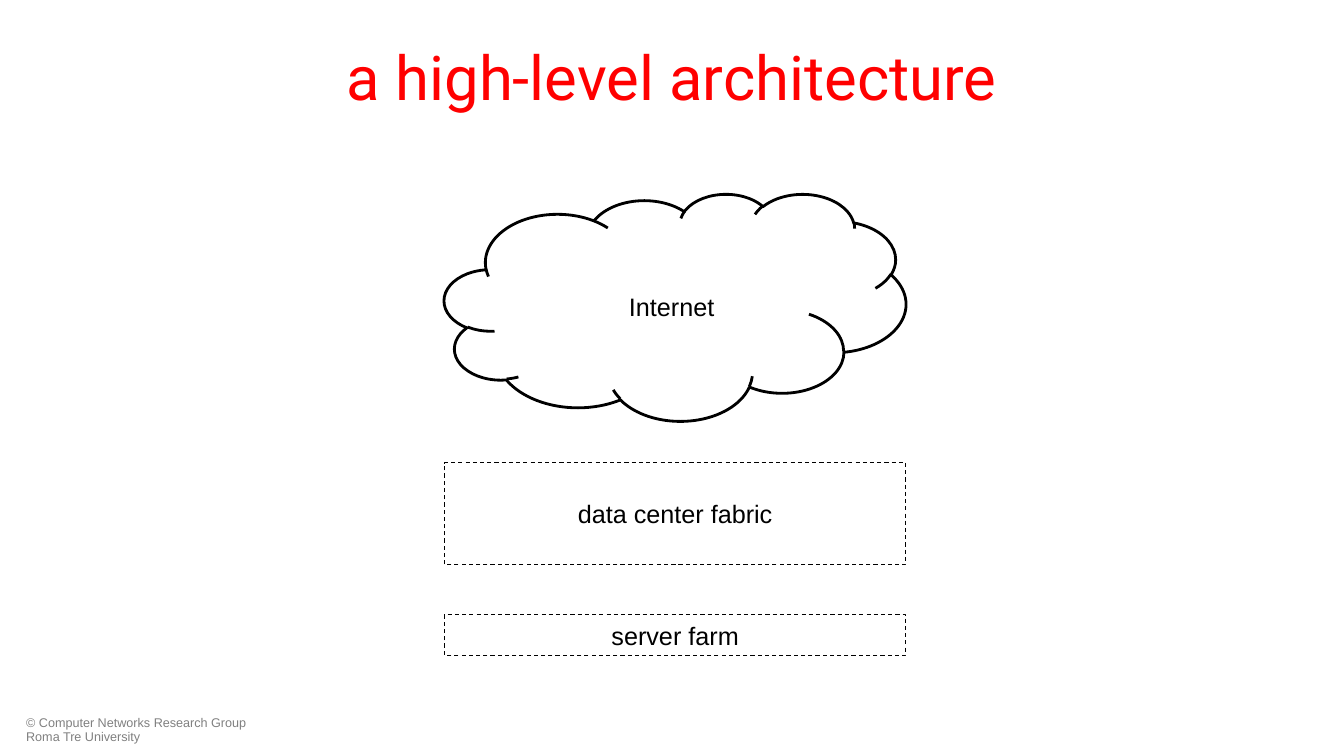
import pptx
import pptx.dml.color
import pptx.enum.dml
import pptx.enum.shapes
import pptx.enum.text
import pptx.util

Cm = pptx.util.Cm
Pt = pptx.util.Pt
Shapes = pptx.enum.shapes.MSO_SHAPE
Align = pptx.enum.text.PP_ALIGN
Anchor = pptx.enum.text.MSO_ANCHOR
Dash = pptx.enum.dml.MSO_LINE

COLORS = {"title": "FF0000", "ink": "000000", "credit": "808080"}
STACK_LEFT, STACK_WIDTH = 11.2, 11.63


class Slide:
    font = "Arial"
    size = 18

    def __init__(self, deck):
        self.page = deck.slides.add_slide(deck.slide_layouts[5])

    def color(self, name):
        return pptx.dml.color.RGBColor.from_string(COLORS[name])

    def add_text(self, box, text, align, anchor, size=None, color="ink", font=None, spacing=1.0, wrap=True):
        frame = box.text_frame
        frame.word_wrap = wrap
        frame.auto_size = pptx.enum.text.MSO_AUTO_SIZE.NONE
        frame.vertical_anchor = anchor
        para = frame.paragraphs[0]
        para.alignment = align
        para.line_spacing = spacing
        span = para.add_run()
        span.text = text
        span.font.name = font or self.font
        span.font.size = Pt(size or self.size)
        span.font.color.rgb = self.color(color)

    def title(self, text, left, top, width, height):
        box = self.page.shapes.title
        box.left, box.top, box.width, box.height = map(Cm, (left, top, width, height))
        self.add_text(box, text, Align.CENTER, Anchor.MIDDLE, 44, "title", "Roboto")

    def label(self, text, left, top, width, height, **style):
        box = self.page.shapes.add_textbox(*map(Cm, (left, top, width, height)))
        self.add_text(box, text, Align.LEFT, Anchor.TOP, **style)

    def outline(self, kind, top, height, weight, dash=None):
        box = self.page.shapes.add_shape(kind, *map(Cm, (STACK_LEFT, top, STACK_WIDTH, height)))
        box.shadow.inherit = False
        box.fill.background()
        box.line.color.rgb = self.color("ink")
        box.line.width = Pt(weight)
        if dash:
            box.line.dash_style = dash
        return box

    def layer(self, text, top, height):
        box = self.outline(Shapes.RECTANGLE, top, height, 0.75, Dash.DASH)
        self.add_text(box, text, Align.CENTER, Anchor.MIDDLE)


def main():
    deck = pptx.Presentation()
    deck.slide_width, deck.slide_height = Cm(33.87), Cm(19.05)
    slide = Slide(deck)
    slide.label("© Computer Networks Research Group Roma Tre University",
                0.41, 17.93, 6.32, 0.91, size=9, color="credit", spacing=0.9)
    slide.title("a high-level architecture", 1.7, 0.33, 30.48, 3.18)
    slide.outline(Shapes.CLOUD, 4.88, 5.72, 2)
    slide.label("Internet", 15.6, 7.21, 2.69, 1.02, wrap=False)
    slide.layer("data center fabric", 11.66, 2.57)
    slide.layer("server farm", 15.49, 1.02)
    deck.save("out.pptx")


if __name__ == "__main__":
    main()
